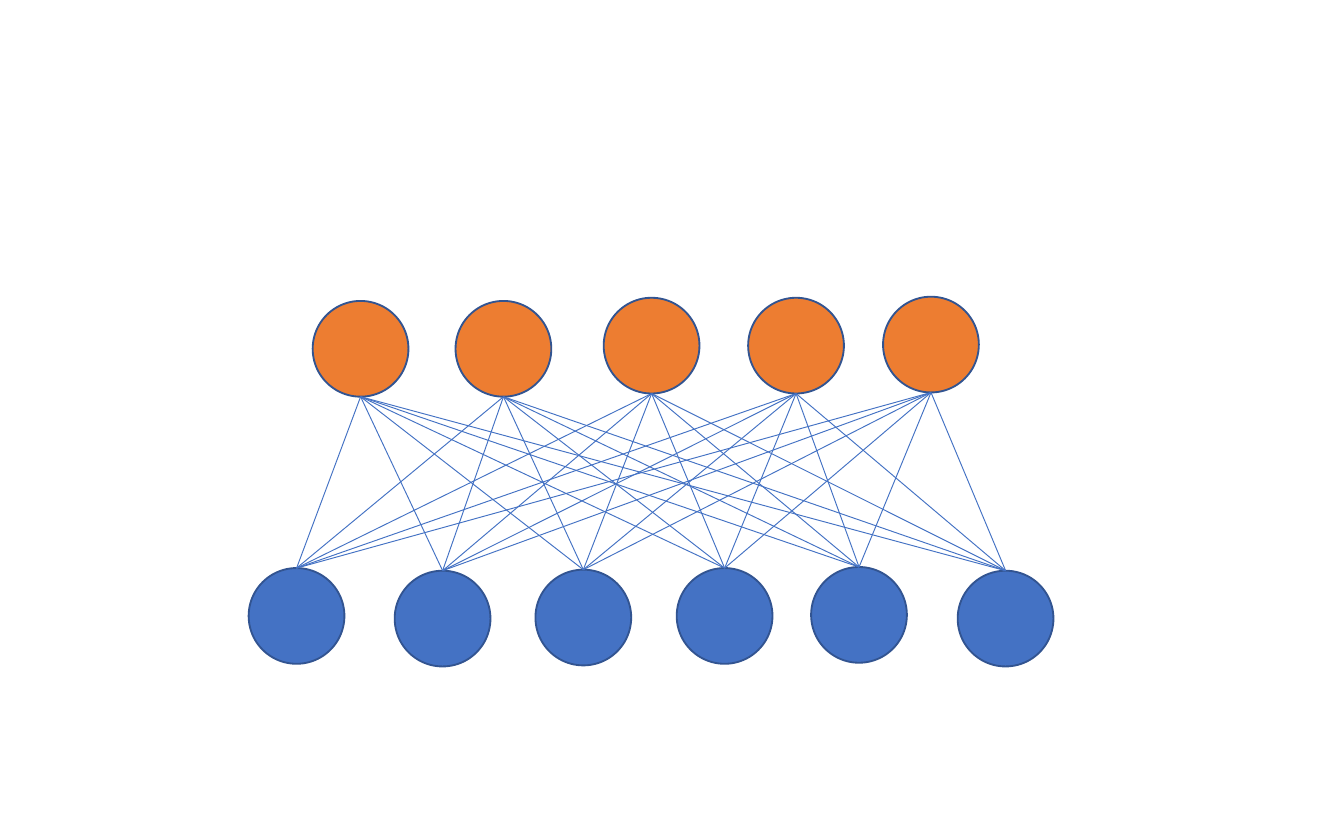
"""Draw two fully connected layers of a neural network."""
from itertools import product

from pptx import Presentation
from pptx.dml.color import RGBColor as RGB
from pptx.enum.shapes import MSO_CONNECTOR as Link, MSO_SHAPE as Shape
from pptx.oxml.ns import qn
from pptx.util import Cm, Pt

COLORS = {"input": "4472C4", "output": "ED7D31", "edge": "4472C4", "rim": "325491"}
SIZE = Cm(1.81)
LAYERS = {
    "input": [(4.7, 10.74), (7.46, 10.79), (10.12, 10.77),
              (12.79, 10.74), (15.33, 10.72), (18.1, 10.79)],
    "output": [(5.91, 5.69), (8.61, 5.69), (11.41, 5.63),
               (14.14, 5.63), (16.69, 5.61)],
}

deck = Presentation()
deck.slide_width, deck.slide_height = Cm(25.4), Cm(15.88)
shapes = deck.slides.add_slide(deck.slide_layouts[6]).shapes

nodes = {}
for layer, spots in LAYERS.items():
    nodes[layer] = []
    for left, top in spots:
        node = shapes.add_shape(Shape.OVAL, Cm(left), Cm(top), SIZE, SIZE)
        node.shadow.inherit = False
        node.fill.solid()
        node.fill.fore_color.rgb = RGB.from_string(COLORS[layer])
        node.line.color.rgb = RGB.from_string(COLORS["rim"])
        node.line.width = Pt(1)
        nodes[layer].append(node)

for low, high in product(nodes["input"], nodes["output"]):
    edge = shapes.add_connector(
        Link.STRAIGHT, low.left + SIZE // 2, low.top,
        high.left + SIZE // 2, high.top + SIZE)
    edge.begin_connect(low, 0)
    edge.line.color.rgb = RGB.from_string(COLORS["edge"])
    edge.line.width = Pt(0.5)
    props = edge._element.spPr
    props.append(props.makeelement(qn("a:effectLst"), {}))

deck.save("out.pptx")
